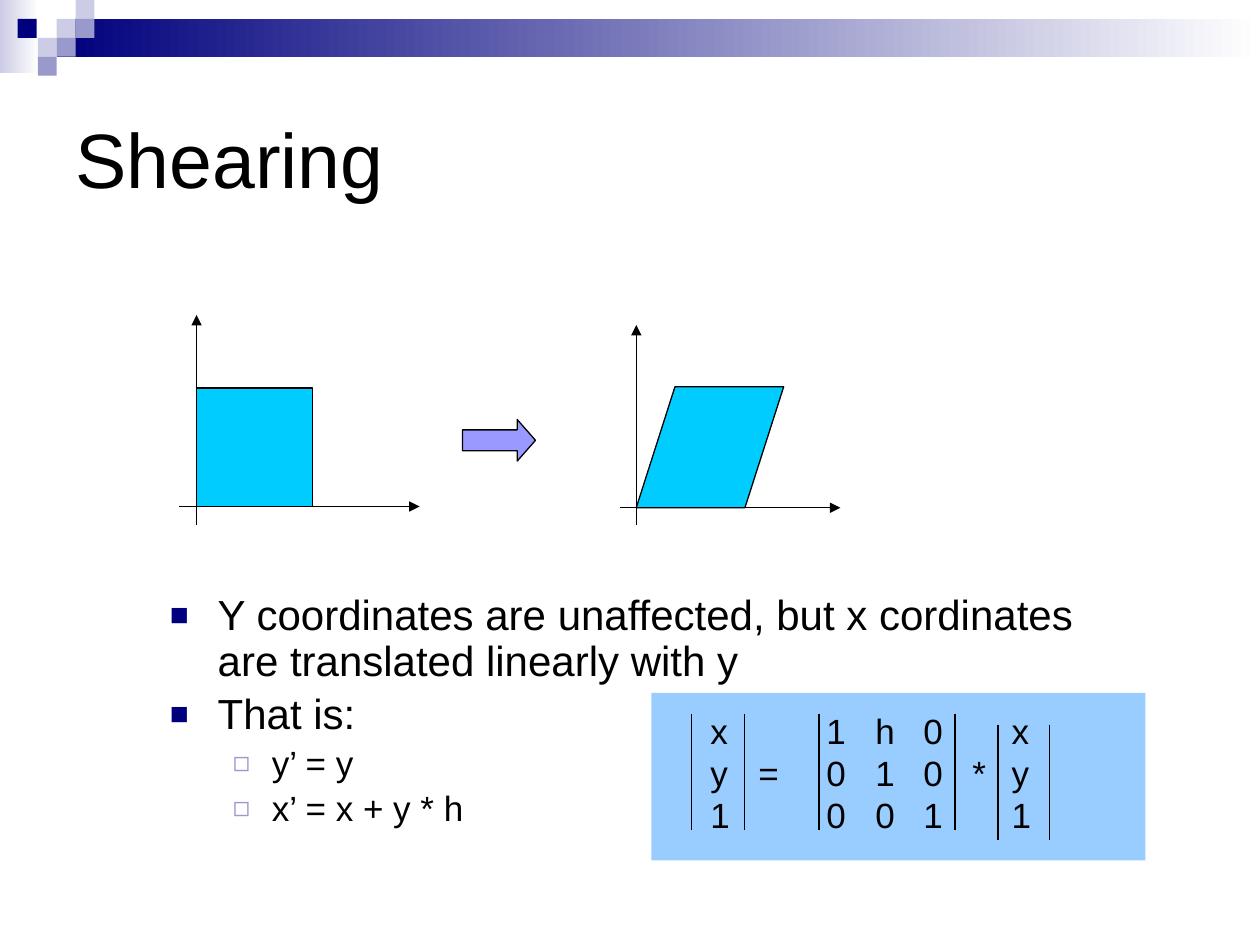
from pptx import Presentation
from pptx.dml.color import RGBColor
from pptx.enum.shapes import MSO_CONNECTOR, MSO_SHAPE
from pptx.enum.text import MSO_ANCHOR
from pptx.oxml.ns import qn
from pptx.util import Inches, Pt
from lxml import etree

RECTANGLE = MSO_SHAPE.RECTANGLE
PARALLELOGRAM = MSO_SHAPE.PARALLELOGRAM
RIGHT_ARROW = MSO_SHAPE.RIGHT_ARROW
STRAIGHT = MSO_CONNECTOR.STRAIGHT
MIDDLE, TOP = MSO_ANCHOR.MIDDLE, MSO_ANCHOR.TOP
NAVY, LAVENDER, VIOLET = "00007D", "CCCCE6", "9999CC"
BLACK, WHITE, CYAN = "000000", "FFFFFF", "00CCFF"

deck = Presentation()
deck.slide_width, deck.slide_height = Inches(10), Inches(7.5)
page = deck.slides.add_slide(deck.slide_layouts[6])


def color(value):
    return RGBColor.from_string(value)


def write(frame, text, *, size, new=True, before=0, spacing=1.0,
          indent=0, hang=0, bullet=None, tabs=()):
    """Write one paragraph; lengths are in inches, sizes in points."""
    para = frame.add_paragraph() if new else frame.paragraphs[0]
    para.space_before, para.line_spacing = Pt(before), spacing
    span = para.add_run()
    span.text = text
    span.font.name, span.font.size = "Arial", Pt(size)
    span.font.color.rgb = color(BLACK)
    props = para._p.get_or_add_pPr()
    if bullet:
        mark, tint, percent = bullet
        props.set("marL", str(Inches(indent)))
        props.set("indent", str(-Inches(hang)))
        holder = etree.SubElement(props, qn("a:buClr"))
        etree.SubElement(holder, qn("a:srgbClr"), val=tint)
        etree.SubElement(props, qn("a:buSzPct"), val=str(percent * 1000))
        etree.SubElement(props, qn("a:buFont"), typeface="Arial")
        etree.SubElement(props, qn("a:buChar"), char=mark)
    if tabs:
        stops = etree.SubElement(props, qn("a:tabLst"))
        for stop in tabs:
            etree.SubElement(stops, qn("a:tab"), pos=str(Inches(stop)), algn="l")


# Header bars, mosaic squares and matrix panel; a second colour makes a gradient
tile = 0.15
blocks = [
    (0, 0, 0.31, 0.58, LAVENDER, WHITE),
    (0.45, 0.15, 9.55, 0.3, NAVY, WHITE),
    (0.14, 0.15, tile, tile, NAVY, None),
    (5.17, 5.5, 3.92, 1.33, "99CCFF", None),
]
mosaic = [(3, 1, LAVENDER), (4, 0, LAVENDER), (4, 1, VIOLET),
          (2, 2, LAVENDER), (3, 2, VIOLET), (2, 3, VIOLET)]
blocks += [(column * tile, row * tile, tile, tile, tint, None)
           for column, row, tint in mosaic]
for left, top, width, height, start, end in blocks:
    box = page.shapes.add_shape(RECTANGLE, Inches(left), Inches(top),
                                Inches(width), Inches(height))
    box.shadow.inherit = False
    box.line.fill.background()
    if end:
        box.fill.gradient()
        box.fill.gradient_angle = 0
        for stop, tint in zip(box.fill.gradient_stops, (start, end)):
            stop.color.rgb = color(tint)
    else:
        box.fill.solid()
        box.fill.fore_color.rgb = color(start)

# Axes with arrowheads, then the upright matrix bars
lines = [
    (1.56, 4.17, 1.56, 2.5, True),
    (1.42, 4.02, 3.33, 4.02, True),
    (5.05, 4.17, 5.05, 2.58, True),
    (4.92, 4.03, 6.67, 4.03, True),
]
bars = [(5.49, 5.67), (5.91, 5.67), (6.5, 5.67), (7.58, 5.67),
        (7.92, 5.75), (8.33, 5.75)]
lines += [(x, top, x, top + 0.92, False) for x, top in bars]
for x1, y1, x2, y2, arrow in lines:
    line = page.shapes.add_connector(STRAIGHT, Inches(x1), Inches(y1),
                                     Inches(x2), Inches(y2))
    line.line.color.rgb = color(BLACK)
    line.line.width = Pt(0.75)
    if arrow:
        etree.SubElement(line.line._get_or_add_ln(), qn("a:tailEnd"), type="triangle")
    etree.SubElement(line._element.spPr, qn("a:effectLst"))

# Square, sheared square and the arrow between them
figures = [
    (RECTANGLE, 1.56, 3.08, 0.92, 0.94, CYAN, ()),
    (PARALLELOGRAM, 5.05, 3.07, 1.17, 0.96, CYAN, (0.32,)),
    (RIGHT_ARROW, 3.67, 3.33, 0.58, 0.33, "9999FF", (0.5, 0.44)),
]
for kind, left, top, width, height, tint, adjustments in figures:
    figure = page.shapes.add_shape(kind, Inches(left), Inches(top),
                                   Inches(width), Inches(height))
    figure.shadow.inherit = False
    figure.fill.solid()
    figure.fill.fore_color.rgb = color(tint)
    figure.line.color.rgb = color(BLACK)
    figure.line.width = Pt(0.75)
    for index, value in enumerate(adjustments):
        figure.adjustments[index] = value

# Title, bullets and matrix equation
square = dict(size=24, before=4.8, spacing=0.9, indent=0.38, hang=0.38,
              bullet=("■", NAVY, 75))
hollow = dict(size=20, before=4, spacing=0.9, indent=0.81, hang=0.31,
              bullet=("◻", VIOLET, 80))
matrix = dict(size=20, tabs=(0.38, 0.92, 1.31, 1.69, 2.08, 2.39))
texts = [
    (0.5, 0.5, 9, 1.5, MIDDLE, [("Shearing", dict(size=44))]),
    (1.25, 4.67, 7.5, 2.17, TOP, [
        ("Y coordinates are unaffected, but x cordinates "
         "are translated linearly with y", square),
        ("That is:", square),
        ("y’ = y", hollow),
        ("x’ = x + y * h", hollow),
    ]),
    (5.54, 5.58, 3.04, 1.1, TOP, [
        ("x\t\t1\th\t0\t\tx", matrix),
        ("y\t=\t0\t1\t0\t*\ty", matrix),
        ("1\t\t0\t0\t1\t\t1", matrix),
    ]),
]
for left, top, width, height, anchor, paragraphs in texts:
    box = page.shapes.add_textbox(Inches(left), Inches(top),
                                  Inches(width), Inches(height))
    frame = box.text_frame
    frame.word_wrap = True
    frame.vertical_anchor = anchor
    for index, (text, style) in enumerate(paragraphs):
        write(frame, text, new=index > 0, **style)

deck.save("out.pptx")
